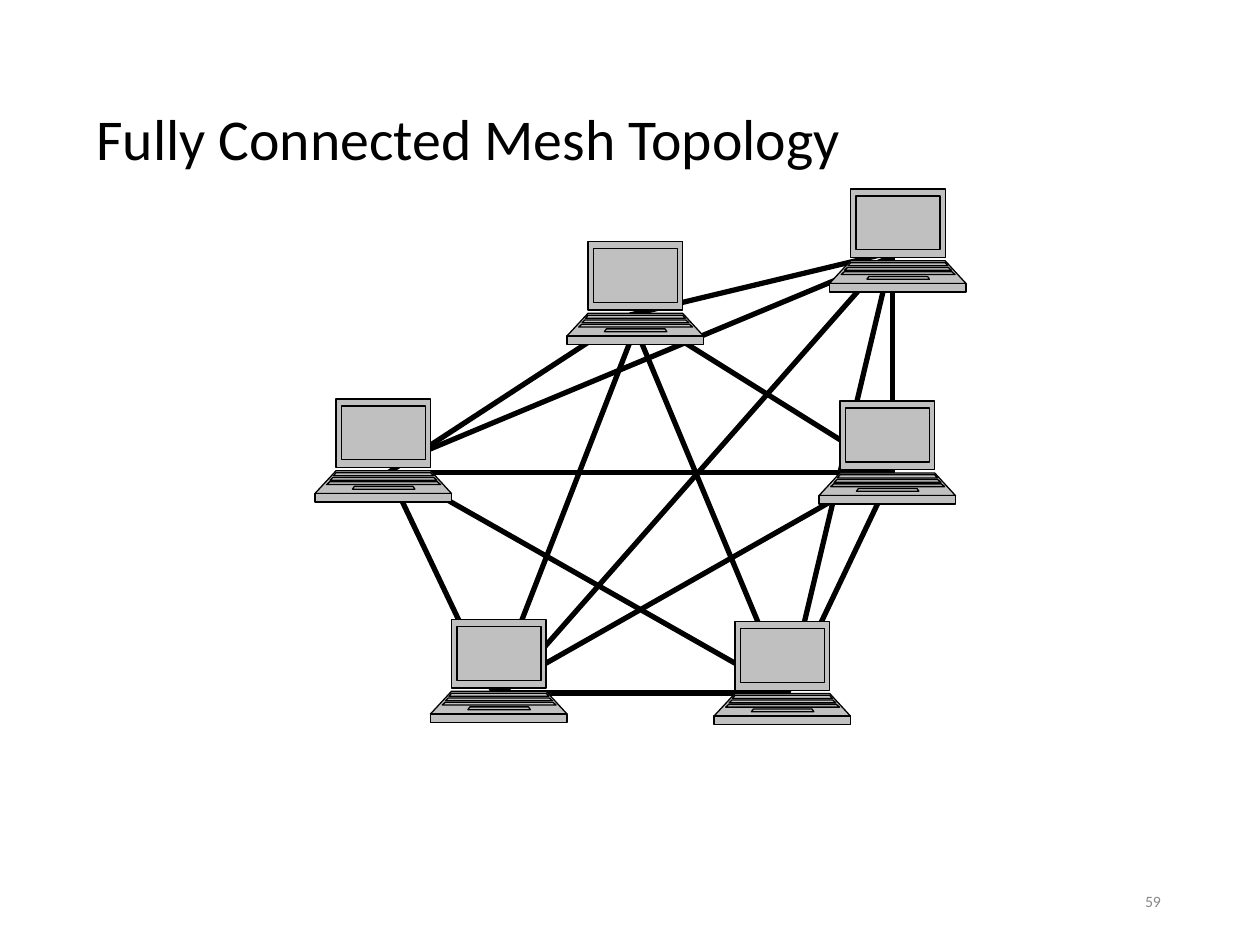
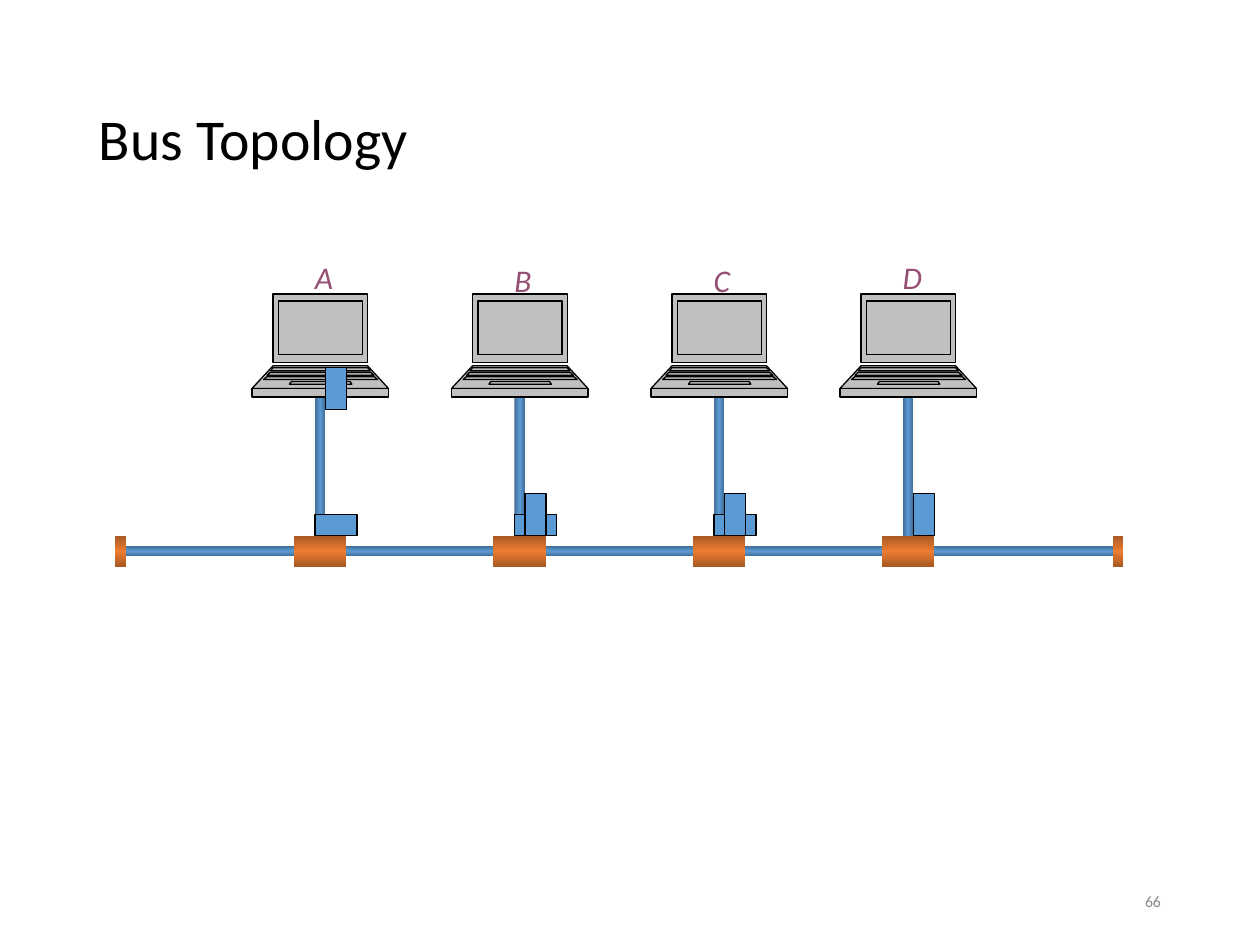
from copy import deepcopy
from dataclasses import dataclass
from itertools import combinations
from typing import NamedTuple

from lxml.etree import SubElement
from pptx import Presentation
from pptx.dml.color import RGBColor
from pptx.enum.shapes import MSO_CONNECTOR, MSO_SHAPE
from pptx.enum.text import MSO_ANCHOR, MSO_AUTO_SIZE, PP_ALIGN
from pptx.oxml.ns import qn
from pptx.util import Emu, Inches, Pt


@dataclass(frozen=True)
class Theme:
    font: str = "Calibri"
    ink: str = "000000"
    muted: str = "888888"
    label: str = "954F72"
    laptop: str = "C0C0C0"
    packet: str = "5B9BD5"
    cable: tuple = ("406D96", "5B9BD5", "406D96")
    tap: tuple = ("A65822", "ED7D31", "A65822")
    title_pt: float = 33
    label_pt: float = 18
    number_pt: float = 9
    outline_pt: float = 0.75
    link_pt: float = 3


class Box(NamedTuple):
    """A place on the grid, in columns and rows."""
    col: float
    row: float
    width: float
    height: float


class Node(NamedTuple):
    """A laptop of the mesh and the point where its links meet."""
    laptop: tuple
    hub: tuple


class Station(NamedTuple):
    """A laptop on the bus."""
    name: str
    col: int
    label_row: float
    has_lying_packet: bool
    packet_row: int


class Quad(NamedTuple):
    """A laptop part: top edge and bottom edge, in thousandths of an inch."""
    top_left: int
    top_right: int
    top: int
    bottom_left: int
    bottom_right: int
    bottom: int


THEME = Theme()
COLS, ROWS = 120, 90

prs = Presentation()
prs.slide_width, prs.slide_height = Inches(10), Inches(7.5)

LAPTOP_PARTS = [
    Quad(168, 918, 0, 168, 918, 545),     # lid
    Quad(167, 918, 570, 0, 1083, 750),    # deck
    Quad(0, 1083, 750, 0, 1083, 817),     # front edge
    Quad(210, 878, 55, 210, 878, 483),    # screen
    Quad(167, 918, 585, 147, 940, 610),   # key rows
    Quad(142, 943, 623, 120, 968, 645),
    Quad(117, 971, 657, 93, 997, 679),
    Quad(313, 778, 694, 297, 793, 716),   # touchpad
]

NODES = {
    "upper": Node((54, 23), (60, 30)),
    "corner": Node((79, 18), (85, 24)),
    "left": Node((30, 38), (37, 45)),
    "right": Node((78, 38.2), (85, 45)),
    "lower left": Node((41, 59), (47, 66)),
    "lower right": Node((68, 59.2), (75, 66)),
}

# Shift of a link's end at the first node when it leads to the second
NUDGES = {
    ("upper", "right"): (1, 0),
    ("upper", "lower left"): (1, 0),
    ("corner", "left"): (1, 0),
    ("left", "corner"): (1, -1),
    ("left", "lower right"): (1, 0),
    ("right", "lower left"): (-1, 0),
    ("lower left", "corner"): (1, 0),
}

STATIONS = [
    Station("A", 24, 24, True, 35),
    Station("B", 43, 24.25, True, 47),
    Station("C", 62, 24.25, True, 47),
    Station("D", 80, 24, False, 47),
]


# Grid and formatting helpers
def x(col: float) -> Emu:
    return Emu(round(prs.slide_width * col / COLS))


def y(row: float) -> Emu:
    return Emu(round(prs.slide_height * row / ROWS))


def place(box: Box) -> tuple:
    return x(box.col), y(box.row), x(box.width), y(box.height)


def rgb(value: str) -> RGBColor:
    return RGBColor.from_string(value)


def paint(sp, color: str) -> None:
    sp.shadow.inherit = False
    sp.fill.solid()
    sp.fill.fore_color.rgb = rgb(color)
    sp.line.color.rgb = rgb(THEME.ink)
    sp.line.width = Pt(THEME.outline_pt)


def add_text(slide, text: str, box: Box, *, size: float, color: str = THEME.ink,
             italic: bool = False, align=PP_ALIGN.LEFT, anchor=MSO_ANCHOR.MIDDLE,
             spacing: float = 1.0, fit: bool = False) -> None:
    tf = slide.shapes.add_textbox(*place(box)).text_frame
    tf.word_wrap = not fit
    tf.auto_size = MSO_AUTO_SIZE.SHAPE_TO_FIT_TEXT if fit else MSO_AUTO_SIZE.NONE
    tf.vertical_anchor = anchor
    p = tf.paragraphs[0]
    p.alignment, p.line_spacing = align, spacing
    r = p.add_run()
    r.text = text
    r.font.name, r.font.size, r.font.italic = THEME.font, Pt(size), italic
    r.font.color.rgb = rgb(color)


def add_slide(title: str, title_box: Box, number: int):
    slide = prs.slides.add_slide(prs.slide_layouts[6])
    add_text(slide, title, title_box, size=THEME.title_pt, spacing=0.9)
    add_text(slide, str(number), Box(84.75, 83.4, 27, 4.8), size=THEME.number_pt,
             color=THEME.muted, align=PP_ALIGN.RIGHT)
    return slide


# Network parts
def add_laptop(slide, col: float, row: float) -> None:
    first = LAPTOP_PARTS[0]
    builder = slide.shapes.build_freeform(first.top_left, first.top, scale=Inches(1) / 1000)
    for q in LAPTOP_PARTS:
        if q is not first:
            builder.move_to(q.top_left, q.top)
        builder.add_line_segments([(q.top_right, q.top), (q.bottom_right, q.bottom),
                                   (q.bottom_left, q.bottom)], close=True)
    sp = builder.convert_to_shape(x(col), y(row))
    paint(sp, THEME.laptop)

    # Give each part its own outline, so overlapping parts stay filled
    joined = sp.element.find(".//" + qn("a:path"))
    outlines = joined.getparent()
    for step in list(joined):
        if step.tag == qn("a:moveTo"):
            outline = SubElement(outlines, qn("a:path"), dict(joined.attrib))
        outline.append(step)
    outlines.remove(joined)


def add_link(slide, start: tuple, end: tuple) -> None:
    line = slide.shapes.add_connector(MSO_CONNECTOR.STRAIGHT, x(start[0]), y(start[1]),
                                      x(end[0]), y(end[1]))
    line.line.color.rgb = rgb(THEME.ink)
    line.line.width = Pt(THEME.link_pt)
    SubElement(line.element.spPr, qn("a:effectLst"))


def add_tube(slide, box: Box, colors: tuple, angle: int = 90) -> None:
    sp = slide.shapes.add_shape(MSO_SHAPE.RECTANGLE, *place(box))
    sp.shadow.inherit = False
    sp.line.fill.background()
    sp.fill.gradient()
    sp.fill.gradient_angle = angle
    stops = sp.element.find(".//" + qn("a:gsLst"))
    stops.append(deepcopy(stops[-1]))
    for i, (stop, color) in enumerate(zip(sp.fill.gradient_stops, colors)):
        stop.position = i / 2
        stop.color.rgb = rgb(color)


def add_packet(slide, col: float, row: float, rotation: int = 0) -> None:
    sp = slide.shapes.add_shape(MSO_SHAPE.RECTANGLE, *place(Box(col, row, 2, 4)))
    sp.rotation = rotation
    paint(sp, THEME.packet)


# Slides
def build_mesh() -> None:
    slide = add_slide("Fully Connected Mesh Topology", Box(8, 7, 108, 13), 59)

    def link_end(name: str, peer: str) -> tuple:
        (col, row), (dx, dy) = NODES[name].hub, NUDGES.get((name, peer), (0, 0))
        return col + dx, row + dy

    for a, b in combinations(NODES, 2):
        add_link(slide, link_end(a, b), link_end(b, a))
    for node in NODES.values():
        add_laptop(slide, *node.laptop)


def build_bus() -> None:
    slide = add_slide("Bus Topology", Box(8.25, 4.8, 103.5, 17.4), 66)

    # Backbone and its terminators
    add_tube(slide, Box(12, 52, 94, 1), THEME.cable)
    for col in (11, 106):
        add_tube(slide, Box(col, 51, 1, 3), THEME.tap)

    # Drop cables and taps, then laptops over them
    for st in STATIONS:
        add_tube(slide, Box(st.col + 6, 35, 1, 18), THEME.cable, angle=0)
        add_tube(slide, Box(st.col + 4, 51, 5, 3), THEME.tap)
        add_laptop(slide, st.col, 28)

    # Packets and station names
    for st in STATIONS:
        if st.has_lying_packet:
            add_packet(slide, st.col + 7, 48, rotation=90)
        add_packet(slide, st.col + 7, st.packet_row)
        add_text(slide, st.name, Box(st.col + 4.8, st.label_row, 4.25, 4.8),
                 size=THEME.label_pt, color=THEME.label, italic=True,
                 anchor=MSO_ANCHOR.TOP, fit=True)


def main() -> None:
    build_mesh()
    build_bus()
    prs.save("out.pptx")


if __name__ == "__main__":
    main()
